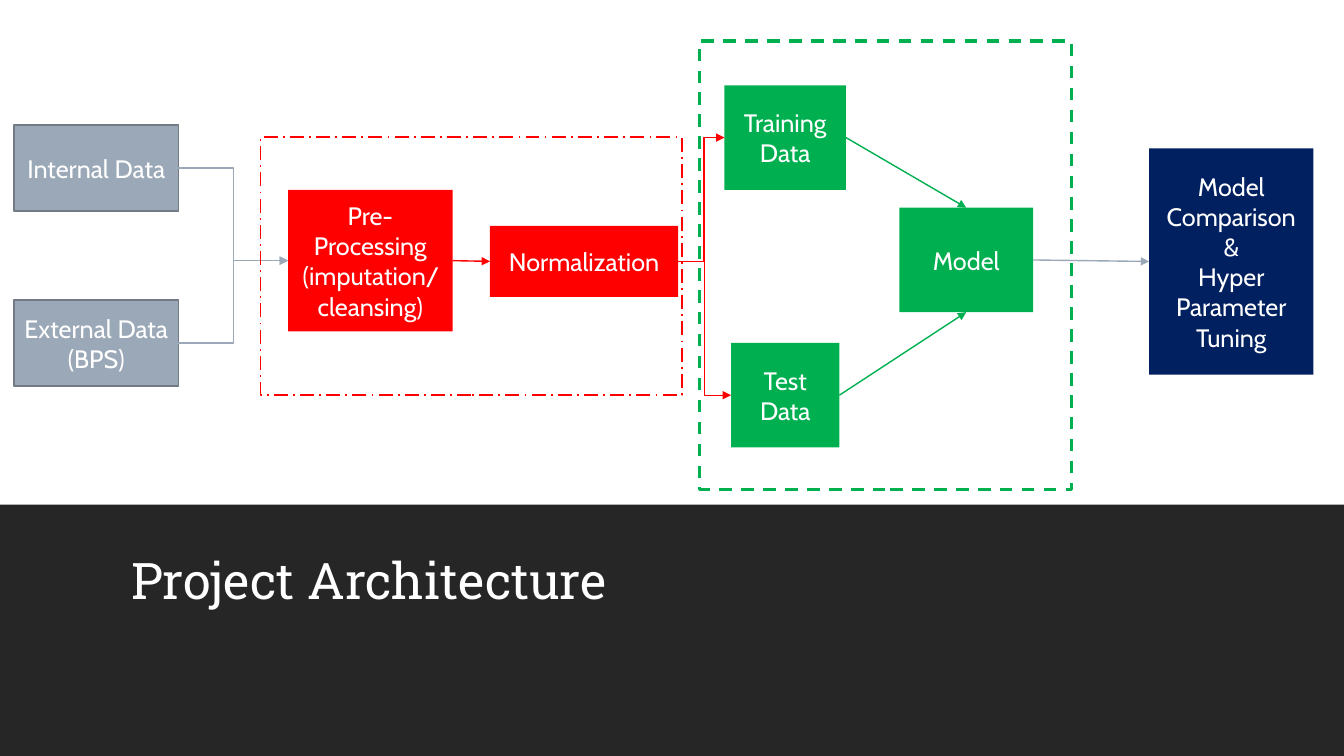
import dataclasses

import lxml.etree
import pptx
import pptx.dml.color
import pptx.enum.dml
import pptx.enum.shapes
import pptx.enum.text
import pptx.oxml.ns
import pptx.util

Pt = pptx.util.Pt
TOP, LEFT, BOTTOM, RIGHT = range(4)


@dataclasses.dataclass(frozen=True)
class Theme:
    white: str = "FFFFFF"
    band: str = "262626"
    grey: str = "9BA8B7"
    grey_edge: str = "717A85"
    red: str = "FF0000"
    green: str = "00B050"
    navy: str = "002060"
    title_font: str = "Roboto Slab"
    body_font: str = "Cabin"
    title_size: float = 36
    body_size: float = 18


class Diagram:
    def __init__(self, slide, theme):
        self.slide = slide
        self.theme = theme

    def color(self, value):
        return pptx.dml.color.RGBColor.from_string(value)

    def format_text(self, text_frame, font, size, alignment):
        for paragraph in text_frame.paragraphs:
            paragraph.alignment = alignment
            for run in paragraph.runs:
                run.font.name = font
                run.font.size = Pt(size)
                run.font.color.rgb = self.color(self.theme.white)

    def rectangle(self, bounds, fill=None, edge=None, width=1.25, dash=None):
        shape = self.slide.shapes.add_shape(
            pptx.enum.shapes.MSO_SHAPE.RECTANGLE, *map(Pt, bounds))
        shape.shadow.inherit = False
        if fill:
            shape.fill.solid()
            shape.fill.fore_color.rgb = self.color(fill)
        else:
            shape.fill.background()
        if edge:
            shape.line.color.rgb = self.color(edge)
            shape.line.width = Pt(width)
            if dash:
                shape.line.dash_style = dash
        else:
            shape.line.fill.background()
        return shape

    def title(self, text, bounds):
        title = self.slide.shapes.title
        title.left, title.top, title.width, title.height = map(Pt, bounds)
        text_frame = title.text_frame
        text_frame.text = text
        text_frame.word_wrap = True
        text_frame.auto_size = pptx.enum.text.MSO_AUTO_SIZE.NONE
        text_frame.vertical_anchor = pptx.enum.text.MSO_ANCHOR.BOTTOM
        text_frame.margin_top = text_frame.margin_bottom = 0
        text_frame.paragraphs[0].line_spacing = 0.9
        self.format_text(text_frame, self.theme.title_font,
                         self.theme.title_size, pptx.enum.text.PP_ALIGN.LEFT)

    def band(self, bounds):
        band = self.rectangle(bounds, self.theme.band)
        self.slide.shapes.title.element.addprevious(band.element)

    def box(self, text, bounds, fill, edge=None):
        shape = self.rectangle(bounds, fill, edge)
        text_frame = shape.text_frame
        text_frame.text = text
        text_frame.word_wrap = True
        text_frame.vertical_anchor = pptx.enum.text.MSO_ANCHOR.MIDDLE
        self.format_text(text_frame, self.theme.body_font,
                         self.theme.body_size, pptx.enum.text.PP_ALIGN.CENTER)
        return shape

    def arrow(self, start, end, color, elbow=False, end_side=LEFT, bend=None):
        kinds = pptx.enum.shapes.MSO_CONNECTOR
        connector = self.slide.shapes.add_connector(
            kinds.ELBOW if elbow else kinds.STRAIGHT, 0, 0, 0, 0)
        connector.begin_connect(start, RIGHT)
        connector.end_connect(end, end_side)
        connector.line.color.rgb = self.color(color)
        connector.line.width = Pt(1)
        qn = pptx.oxml.ns.qn
        properties = connector.element.spPr
        line = properties.find(qn("a:ln"))
        lxml.etree.SubElement(line, qn("a:tailEnd"), type="triangle")
        lxml.etree.SubElement(properties, qn("a:effectLst"))
        if bend:
            geometry = properties.find(qn("a:prstGeom"))
            adjustments = geometry.find(qn("a:avLst"))
            if adjustments is None:
                adjustments = lxml.etree.SubElement(geometry, qn("a:avLst"))
            lxml.etree.SubElement(adjustments, qn("a:gd"), name="adj1",
                                  fmla=f"val {round(bend * 100000)}")


def main():
    presentation = pptx.Presentation()
    presentation.slide_width = Pt(960)
    presentation.slide_height = Pt(540)
    theme = Theme()
    slide = presentation.slides.add_slide(presentation.slide_layouts[5])
    diagram = Diagram(slide, theme)

    diagram.band((0, 360.5, 960, 179.5))
    diagram.title("Project Architecture", (86.4, 378, 796.3, 58.3))

    internal, external = (
        diagram.box(text, (10, top, 117.5, 61.3), theme.grey, theme.grey_edge)
        for text, top in (("Internal Data", 89.3), ("External Data (BPS)", 214.4)))
    preprocessing = diagram.box("Pre-Processing\n(imputation/cleansing)",
                                (205.8, 135.6, 117.5, 101.2), theme.red)
    normalization = diagram.box("Normalization", (350, 161.4, 134.5, 50.6), theme.red)
    training, test, model = (
        diagram.box(text, (left, top, width, 74.6), theme.green)
        for text, left, top, width in (("Training Data", 517.5, 61, 86.8),
                                       ("Test Data", 522.2, 245, 77.4),
                                       ("Model", 642.4, 148.4, 95.6)))
    comparison = diagram.box("Model Comparison\n&\nHyper Parameter Tuning",
                             (820.8, 106, 117.4, 161.6), theme.navy)

    for source in (internal, external):
        diagram.arrow(source, preprocessing, theme.grey, elbow=True)
    diagram.arrow(preprocessing, normalization, theme.red)
    diagram.arrow(normalization, test, theme.red, elbow=True)
    diagram.arrow(normalization, training, theme.red, elbow=True, bend=0.56)
    diagram.arrow(training, model, theme.green, end_side=TOP)
    diagram.arrow(test, model, theme.green, end_side=BOTTOM)
    diagram.arrow(model, comparison, theme.grey)

    dashes = pptx.enum.dml.MSO_LINE
    diagram.rectangle((186, 98, 301, 184), edge=theme.red,
                      dash=dashes.LONG_DASH_DOT)
    diagram.rectangle((499.6, 29.3, 265.8, 320.4), edge=theme.green, width=2.25,
                      dash=dashes.DASH)

    presentation.save("out.pptx")


if __name__ == "__main__":
    main()
